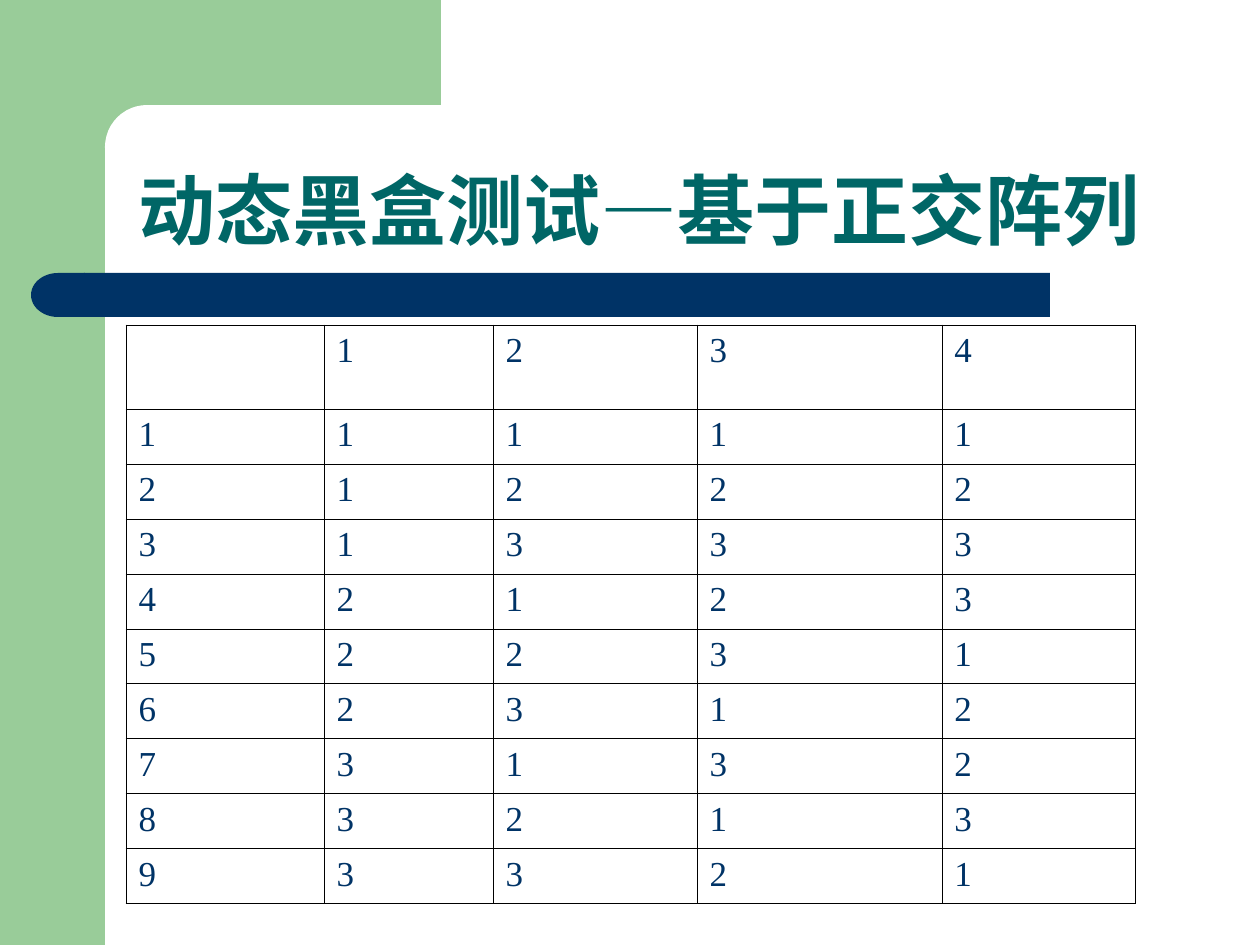
from lxml import etree
from pptx import Presentation
from pptx.dml.color import RGBColor
from pptx.enum.shapes import MSO_SHAPE
from pptx.enum.text import MSO_ANCHOR, MSO_AUTO_SIZE, PP_ALIGN
from pptx.oxml.ns import qn
from pptx.util import Pt

RECT = MSO_SHAPE.RECTANGLE
ROUND = MSO_SHAPE.ROUNDED_RECTANGLE
DELAY = MSO_SHAPE.FLOWCHART_DELAY
LEFT, BOTTOM, TOP = PP_ALIGN.LEFT, MSO_ANCHOR.BOTTOM, MSO_ANCHOR.TOP

# Content
TITLE = "动态黑盒测试—基于正交阵列"
FACTORS = [1, 2, 3, 4]
RUNS = [
    [1, 1, 1, 1],
    [1, 2, 2, 2],
    [1, 3, 3, 3],
    [2, 1, 2, 3],
    [2, 2, 3, 1],
    [2, 3, 1, 2],
    [3, 1, 3, 2],
    [3, 2, 1, 3],
    [3, 3, 2, 1],
]
COLORS = {"green": "99CC99", "white": "FFFFFF", "navy": "003366",
          "teal": "006666", "black": "000000"}

# Layout in px: kind, (left, top, width, height), colour, corner, mirrored
DECORATION = [
    (RECT, (0, 0, 105, 945), "green", None, False),
    (RECT, (94, 0, 347, 147), "green", None, False),
    (ROUND, (105, 105, 703, 84), "white", 0.5, False),
    (ROUND, (84, 273, 966, 44), "navy", 0, False),
    (DELAY, (31, 273, 54, 44), "navy", None, True),
]
TITLE_BOX = (126, 105, 1102, 157)
TABLE_ORIGIN = (126, 325)
COLUMN_WIDTHS = [198, 169, 204, 245, 194]
ROW_HEIGHTS = [84] + [55] * len(RUNS)
HANGING = 48
BORDER = Pt(0.45)


def px(value):
    return round(value * 914400 / 126)


def color(name):
    return RGBColor.from_string(COLORS[name])


def write(frame, text, *, size, font, fill, bold=False, spacing=None):
    para = frame.paragraphs[0]
    para.alignment = LEFT
    para.line_spacing = spacing
    span = para.add_run()
    span.text = text
    span.font.size = Pt(size)
    span.font.name = font
    span.font.bold = bold
    span.font.color.rgb = color(fill)
    return para


def add_borders(cell):
    properties = cell._tc.get_or_add_tcPr()
    for side in ("a:lnL", "a:lnR", "a:lnT", "a:lnB"):
        line = etree.SubElement(properties, qn(side), w=str(BORDER))
        solid = etree.SubElement(line, qn("a:solidFill"))
        etree.SubElement(solid, qn("a:srgbClr"), val=COLORS["black"])


deck = Presentation()
deck.slide_width, deck.slide_height = px(1260), px(945)
page = deck.slides.add_slide(deck.slide_layouts[5])

# Background shapes
for kind, place, fill, corner, mirrored in DECORATION:
    shape = page.shapes.add_shape(kind, *map(px, place))
    shape.shadow.inherit = False
    shape.fill.solid()
    shape.fill.fore_color.rgb = color(fill)
    shape.line.fill.background()
    if corner is not None:
        shape.adjustments[0] = corner
    if mirrored:
        shape._element.spPr.get_or_add_xfrm().set("flipH", "1")

# Title, brought in front of the background shapes
title = page.shapes.title
title.left, title.top, title.width, title.height = map(px, TITLE_BOX)
title.text_frame.word_wrap = True
title.text_frame.auto_size = MSO_AUTO_SIZE.NONE
title.text_frame.vertical_anchor = BOTTOM
write(title.text_frame, TITLE, size=44, font="Arial", fill="teal",
      bold=True, spacing=0.9)
page.shapes._spTree.append(title._element)

# Orthogonal array table
rows = [["", *FACTORS]]
rows += [[number, *levels] for number, levels in enumerate(RUNS, 1)]
table = page.shapes.add_table(
    len(rows), len(COLUMN_WIDTHS), *map(px, TABLE_ORIGIN),
    px(sum(COLUMN_WIDTHS)), px(sum(ROW_HEIGHTS))).table
table.first_row = table.horz_banding = False
for column, width in zip(table.columns, COLUMN_WIDTHS):
    column.width = px(width)
for row, height, values in zip(table.rows, ROW_HEIGHTS, rows):
    row.height = px(height)
    for cell, value in zip(row.cells, values):
        add_borders(cell)
        cell.fill.background()
        cell.vertical_anchor = TOP
        if value:
            para = write(cell.text_frame, str(value), size=20,
                         font="Times New Roman", fill="navy")
            indents = para._p.get_or_add_pPr()
            indents.set("marL", str(px(HANGING)))
            indents.set("indent", str(-px(HANGING)))

deck.save("out.pptx")
